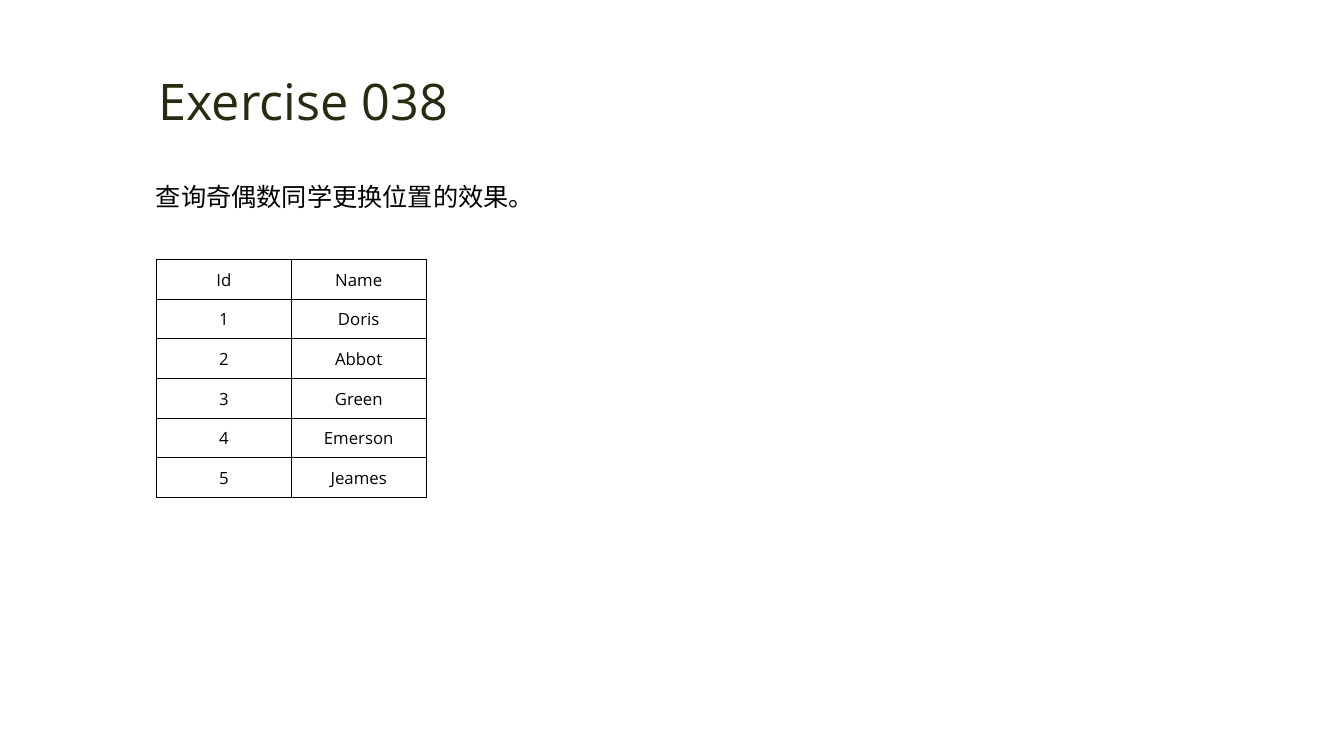
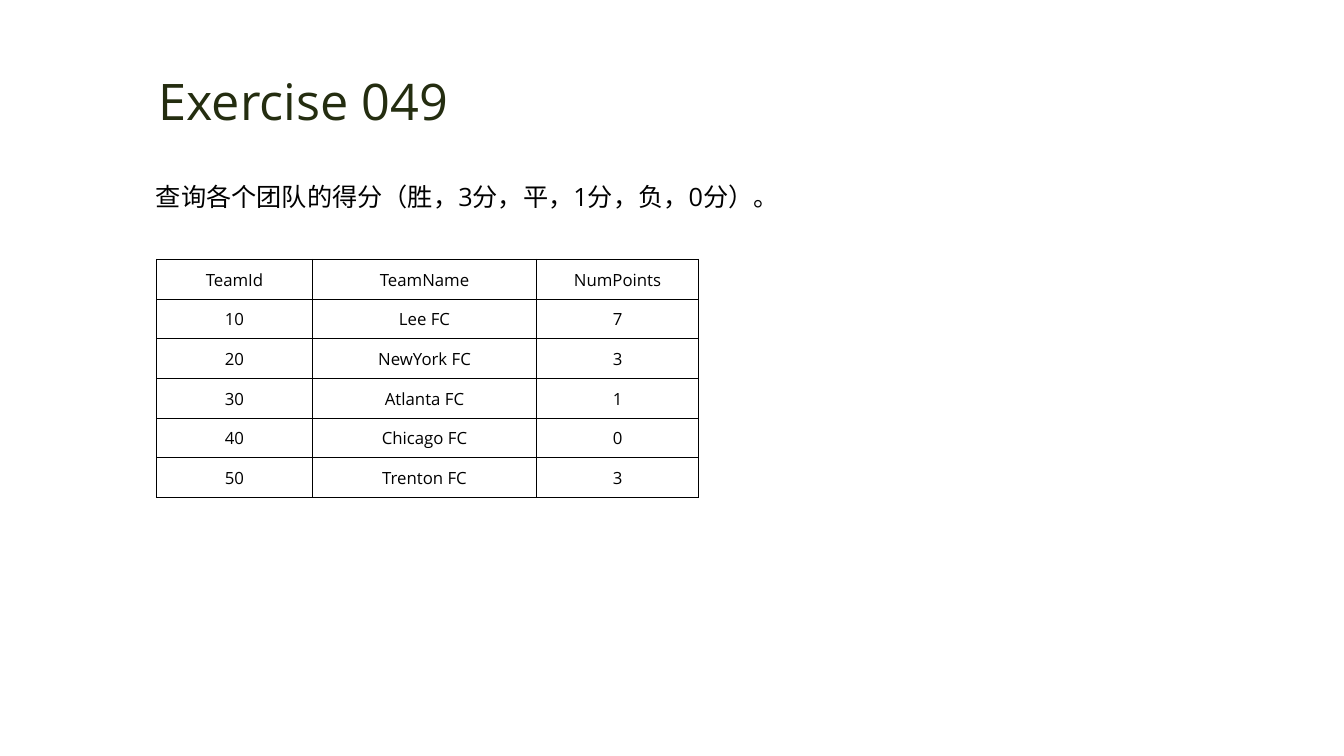
from dataclasses import dataclass
from typing import Any

from lxml import etree
from pptx import Presentation
from pptx.dml.color import RGBColor
from pptx.enum.text import MSO_ANCHOR, MSO_AUTO_SIZE, PP_ALIGN
from pptx.oxml.ns import qn
from pptx.slide import Slide
from pptx.util import Cm, Length, Pt

CENTER = PP_ALIGN.CENTER
LEFT = PP_ALIGN.LEFT
MIDDLE = MSO_ANCHOR.MIDDLE
GROW = MSO_AUTO_SIZE.SHAPE_TO_FIT_TEXT
BLANK_LAYOUT = 6


@dataclass(frozen=True)
class Theme:
    font: str = "Open Sans"
    title_color: str = "242D10"
    text_color: str = "000000"
    border_color: str = "000000"
    title_size: Length = Pt(36)
    question_size: Length = Pt(18)
    cell_size: Length = Pt(12)
    border_width: Length = Pt(0.5)


@dataclass(frozen=True)
class Box:
    left: Length
    top: Length
    width: Length
    height: Length


@dataclass(frozen=True)
class TextStyle:
    size: Length
    color: str
    align: PP_ALIGN
    line_spacing: float = 1.0


@dataclass(frozen=True)
class Exercise:
    title: str
    question: str
    question_width: Length
    column_widths: tuple[Length, ...]
    rows: tuple[tuple[str, ...], ...]


THEME = Theme()
TITLE_STYLE = TextStyle(THEME.title_size, THEME.title_color, CENTER)
QUESTION_STYLE = TextStyle(THEME.question_size, THEME.text_color, LEFT, 1.5)
CELL_STYLE = TextStyle(THEME.cell_size, THEME.text_color, CENTER)

TITLE_BOX = Box(Cm(3.53), Cm(1.63), Cm(8.23), Cm(1.8))
QUESTION_LEFT, QUESTION_TOP, QUESTION_HEIGHT = Cm(3.68), Cm(4.06), Cm(1.3)
TABLE_LEFT, TABLE_TOP, ROW_HEIGHT = Cm(3.94), Cm(6.53), Cm(1)

CELL_FORMAT = {
    "vertical_anchor": MIDDLE,
    "margin_left": Cm(0.03),
    "margin_right": Cm(0.03),
    "margin_top": Cm(0.03),
    "margin_bottom": Cm(0),
}

EXERCISES = (
    Exercise(
        "Exercise 038",
        "查询奇偶数同学更换位置的效果。",
        Cm(15.04),
        (Cm(3.4), Cm(3.4)),
        (
            ("Id", "Name"),
            ("1", "Doris"),
            ("2", "Abbot"),
            ("3", "Green"),
            ("4", "Emerson"),
            ("5", "Jeames"),
        ),
    ),
    Exercise(
        "Exercise 049",
        "查询各个团队的得分（胜，3分，平，1分，负，0分）。",
        Cm(16.28),
        (Cm(3.94), Cm(5.64), Cm(4.09)),
        (
            ("TeamId", "TeamName", "NumPoints"),
            ("10", "Lee FC", "7"),
            ("20", "NewYork FC", "3"),
            ("30", "Atlanta FC", "1"),
            ("40", "Chicago FC", "0"),
            ("50", "Trenton FC", "3"),
        ),
    ),
)


def apply_format(target: Any, values: dict[str, Any]) -> None:
    for attribute, value in values.items():
        setattr(target, attribute, value)


def write_text(frame: Any, text: str, style: TextStyle) -> None:
    paragraph = frame.paragraphs[0]
    apply_format(paragraph, {"alignment": style.align, "line_spacing": style.line_spacing})
    run = paragraph.add_run()
    run.text = text
    apply_format(run.font, {"name": THEME.font, "size": style.size})
    run.font.color.rgb = RGBColor.from_string(style.color)
    # Chinese characters take their font from a:ea.
    etree.SubElement(run.font._element, qn("a:ea"), typeface=THEME.font)


def add_text(slide: Slide, box: Box, text: str, style: TextStyle, wrap: bool) -> None:
    frame = slide.shapes.add_textbox(box.left, box.top, box.width, box.height).text_frame
    apply_format(frame, {"word_wrap": wrap, "auto_size": GROW})
    write_text(frame, text, style)


def add_borders(cell: Any) -> None:
    properties = cell._tc.get_or_add_tcPr()
    # The schema wants the border lines ahead of the fill.
    for position, side in enumerate(("lnL", "lnR", "lnT", "lnB")):
        line = etree.Element(qn(f"a:{side}"), w=str(THEME.border_width))
        fill = etree.SubElement(line, qn("a:solidFill"))
        etree.SubElement(fill, qn("a:srgbClr"), val=THEME.border_color)
        properties.insert(position, line)


def add_result_table(slide: Slide, exercise: Exercise) -> None:
    widths, rows = exercise.column_widths, exercise.rows
    table = slide.shapes.add_table(
        len(rows), len(widths), TABLE_LEFT, TABLE_TOP, sum(widths), ROW_HEIGHT * len(rows)
    ).table
    apply_format(table, {"first_row": False, "horz_banding": False})
    for column, width in zip(table.columns, widths):
        column.width = width
    for row, values in zip(table.rows, rows):
        row.height = ROW_HEIGHT
        for cell, value in zip(row.cells, values):
            apply_format(cell, CELL_FORMAT)
            cell.fill.background()
            add_borders(cell)
            write_text(cell.text_frame, value, CELL_STYLE)


def add_exercise(slide: Slide, exercise: Exercise) -> None:
    question_box = Box(QUESTION_LEFT, QUESTION_TOP, exercise.question_width, QUESTION_HEIGHT)
    add_text(slide, TITLE_BOX, exercise.title, TITLE_STYLE, wrap=False)
    add_text(slide, question_box, exercise.question, QUESTION_STYLE, wrap=True)
    add_result_table(slide, exercise)


def main() -> None:
    presentation = Presentation()
    apply_format(presentation, {"slide_width": Cm(33.87), "slide_height": Cm(19.05)})
    for exercise in EXERCISES:
        slide = presentation.slides.add_slide(presentation.slide_layouts[BLANK_LAYOUT])
        add_exercise(slide, exercise)
    presentation.save("out.pptx")


if __name__ == "__main__":
    main()
